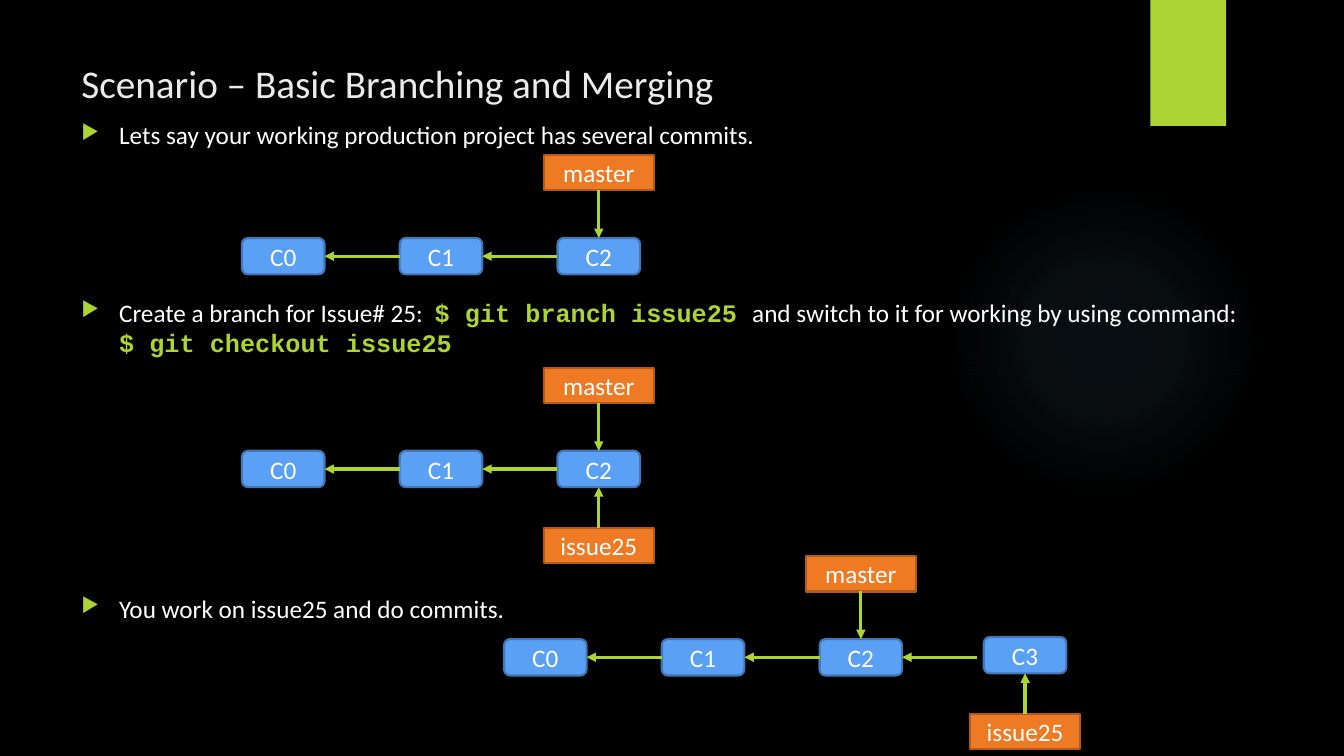
"""Build a dark slide that shows branching and merging as three commit graphs."""
from lxml.etree import SubElement
from pptx import Presentation
from pptx.dml.color import RGBColor
from pptx.enum.shapes import MSO_CONNECTOR, MSO_SHAPE
from pptx.enum.text import MSO_ANCHOR, PP_ALIGN
from pptx.oxml import parse_xml
from pptx.oxml.ns import nsdecls, qn
from pptx.util import Pt

BLACK = RGBColor(0x00, 0x00, 0x00)
WHITE = RGBColor(0xFF, 0xFF, 0xFF)
PALE = RGBColor(0xEB, 0xEB, 0xEB)
LIME = RGBColor(0xAC, 0xD4, 0x33)
BLUE = RGBColor(0x5A, 0xA0, 0xF5)
NAVY = RGBColor(0x43, 0x76, 0xB5)
ORANGE = RGBColor(0xEF, 0x7A, 0x24)
BROWN = RGBColor(0xB1, 0x5A, 0x1B)
GLOW = "7AC4F0"
STOPS = [(0, 7), (36, 6), (69, 0)]

TITLE = "Scenario – Basic Branching and Merging"
POINTS = [
    (82, [("Lets say your working production project has several commits.", False)]),
    (208.5, [
        ("Create a branch for Issue# 25:  ", False),
        ("$ git branch issue25 ", True),
        ("and switch to it for working by using command:", False),
        ("\n", False),
        ("$ git checkout issue25", True),
    ]),
    (420, [("You work on issue25 and do commits.", False)]),
]
CHAIN = ["C0", "C1", "C2"]
MASTER, ISSUE = "master", "issue25"
GRAPHS = [(172.8, 170, None), (172.8, 322, "C2"), (360, 456.5, "C3")]

LEFT, WIDE = 51, 891
NODE_W, NODE_H, PITCH = 59, 26, 112.7
TAG_W, TAG_H, RISE, DROP = 78.5, 25.2, 59.2, 55
LAST_X, LAST_Y, GAP = 342.7, -1.5, 5


def box(slide, kind, text, x, y, w, h, fill, edge):
    shape = slide.shapes.add_shape(kind, Pt(x), Pt(y), Pt(w), Pt(h))
    shape.shadow.inherit = False
    shape.fill.solid()
    shape.fill.fore_color.rgb = fill
    if edge is None:
        shape.line.fill.background()
        return shape
    shape.line.color.rgb = edge
    shape.line.width = Pt(1.5)
    frame = shape.text_frame
    frame.margin_top = frame.margin_bottom = 0
    frame.vertical_anchor = MSO_ANCHOR.MIDDLE
    para = frame.paragraphs[0]
    para.text = text
    para.alignment = PP_ALIGN.CENTER
    style(para.font, 18, WHITE)
    return shape


def node(slide, text, x, y):
    return box(slide, MSO_SHAPE.ROUNDED_RECTANGLE, text, x, y, NODE_W, NODE_H, BLUE, NAVY)


def tag(slide, text, x, y):
    x += (NODE_W - TAG_W) / 2
    return box(slide, MSO_SHAPE.RECTANGLE, text, x, y, TAG_W, TAG_H, ORANGE, BROWN)


def arrow(slide, end, side, start=None, site=0, spot=(0, 0)):
    x, y = Pt(spot[0]), Pt(spot[1])
    line = slide.shapes.add_connector(MSO_CONNECTOR.STRAIGHT, x, y, x, y)
    if start is not None:
        line.begin_connect(start, site)
    line.end_connect(end, side)
    line.line.color.rgb = LIME
    line.line.width = Pt(2.25)
    SubElement(line.line._get_or_add_ln(), qn("a:tailEnd"), type="triangle")
    SubElement(line._element.spPr, qn("a:effectLst"))


def style(font, size, color, name="Calibri"):
    font.size = Pt(size)
    font.name = name
    font.color.rgb = color


def text_box(slide, y, h):
    frame = slide.shapes.add_textbox(Pt(LEFT), Pt(y), Pt(WIDE), Pt(h)).text_frame
    frame.word_wrap = True
    return frame


def bullet(para):
    props = para._p.get_or_add_pPr()
    props.set("marL", str(Pt(27)))
    props.set("indent", str(-Pt(27)))
    tint = SubElement(props, qn("a:buClr"))
    SubElement(tint, qn("a:srgbClr"), val=str(LIME))
    SubElement(props, qn("a:buSzPct"), val="80000")
    SubElement(props, qn("a:buChar"), char="▶")


def point(slide, y, parts):
    para = text_box(slide, y, 52).paragraphs[0]
    bullet(para)
    para.font.size = Pt(18)
    for text, code in parts:
        if text == "\n":
            para.add_line_break()
            continue
        run = para.add_run()
        run.text = text
        run.font.bold = code
        style(run.font, 18, LIME if code else WHITE, "Courier New" if code else "Calibri")


def glow(slide):
    shape = box(slide, MSO_SHAPE.OVAL, "", 677.5, 131.8, 221.8, 221.8, BLACK, None)
    stops = "".join(
        f'<a:gs pos="{at * 1000}"><a:srgbClr val="{GLOW}">'
        f'<a:alpha val="{alpha * 1000}"/></a:srgbClr></a:gs>'
        for at, alpha in STOPS
    )
    grad = parse_xml(
        f'<a:gradFill {nsdecls("a")}><a:gsLst>{stops}</a:gsLst><a:path path="circle">'
        '<a:fillToRect l="50000" t="50000" r="50000" b="50000"/></a:path></a:gradFill>'
    )
    props = shape._element.spPr
    props.replace(props.find(qn("a:solidFill")), grad)


def graph(slide, x, y, branch):
    nodes = [node(slide, name, x + i * PITCH, y) for i, name in enumerate(CHAIN)]
    for old, new in zip(nodes, nodes[1:]):
        arrow(slide, old, 3, new, 1)
    head, head_x = nodes[-1], x + 2 * PITCH
    arrow(slide, head, 0, tag(slide, MASTER, head_x, y - RISE), 2)
    if branch == "C3":
        arrow(slide, head, 3, spot=(x + LAST_X - GAP, y + NODE_H / 2))
        head_x, y = x + LAST_X, y + LAST_Y
        head = node(slide, branch, head_x, y)
    if branch:
        arrow(slide, head, 2, tag(slide, ISSUE, head_x, y + DROP), 0)


def main():
    deck = Presentation()
    deck.slide_width, deck.slide_height = Pt(960), Pt(540)
    slide = deck.slides.add_slide(deck.slide_layouts[6])
    slide.background.fill.solid()
    slide.background.fill.fore_color.rgb = BLACK
    glow(slide)
    box(slide, MSO_SHAPE.RECTANGLE, "", 821.8, 0, 54, 90, LIME, None)
    frame = text_box(slide, 36, 46.8)
    frame.vertical_anchor = MSO_ANCHOR.MIDDLE
    para = frame.paragraphs[0]
    para.text = TITLE
    style(para.font, 28, PALE)
    for y, parts in POINTS:
        point(slide, y, parts)
    for x, y, branch in GRAPHS:
        graph(slide, x, y, branch)
    deck.save("out.pptx")


if __name__ == "__main__":
    main()
